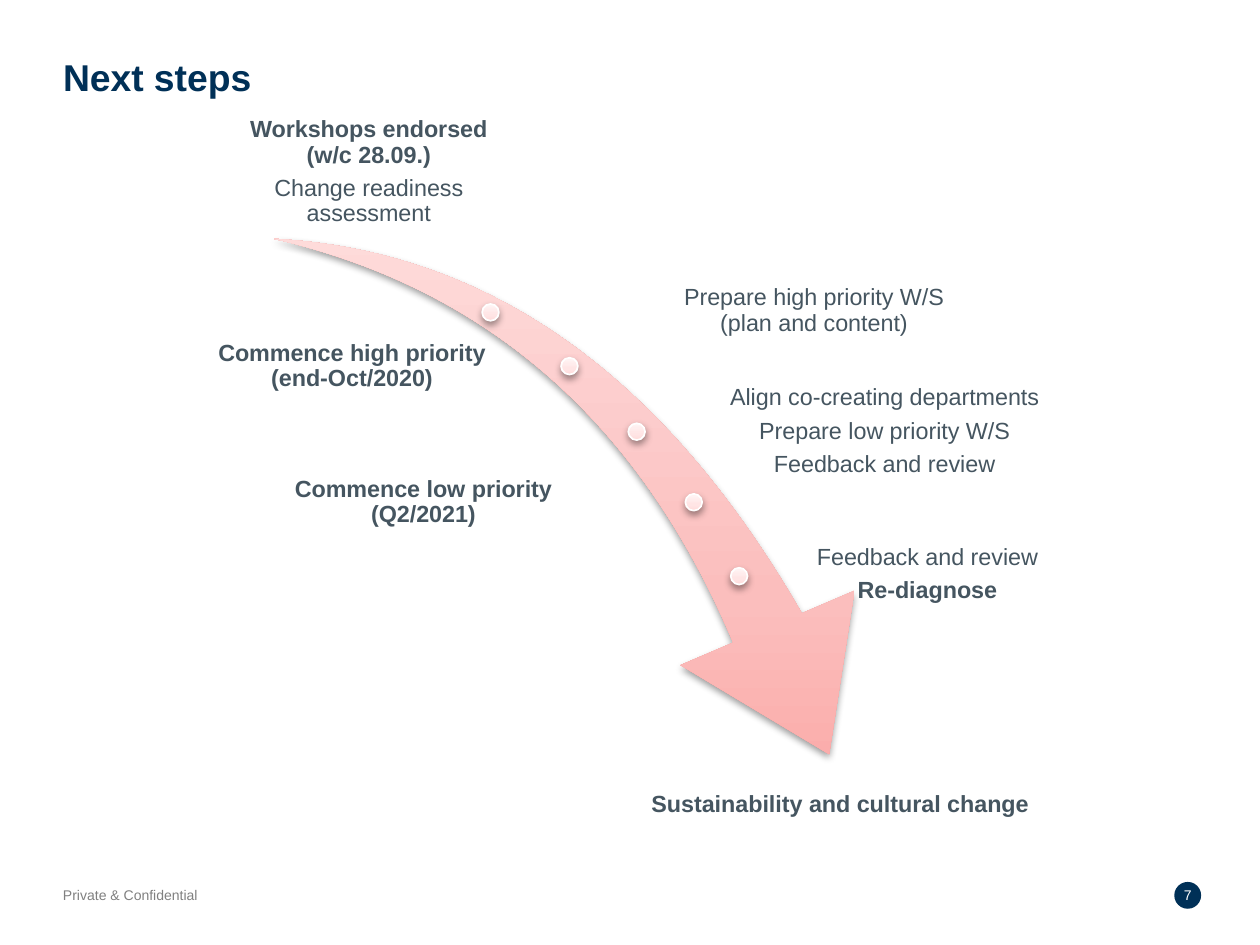
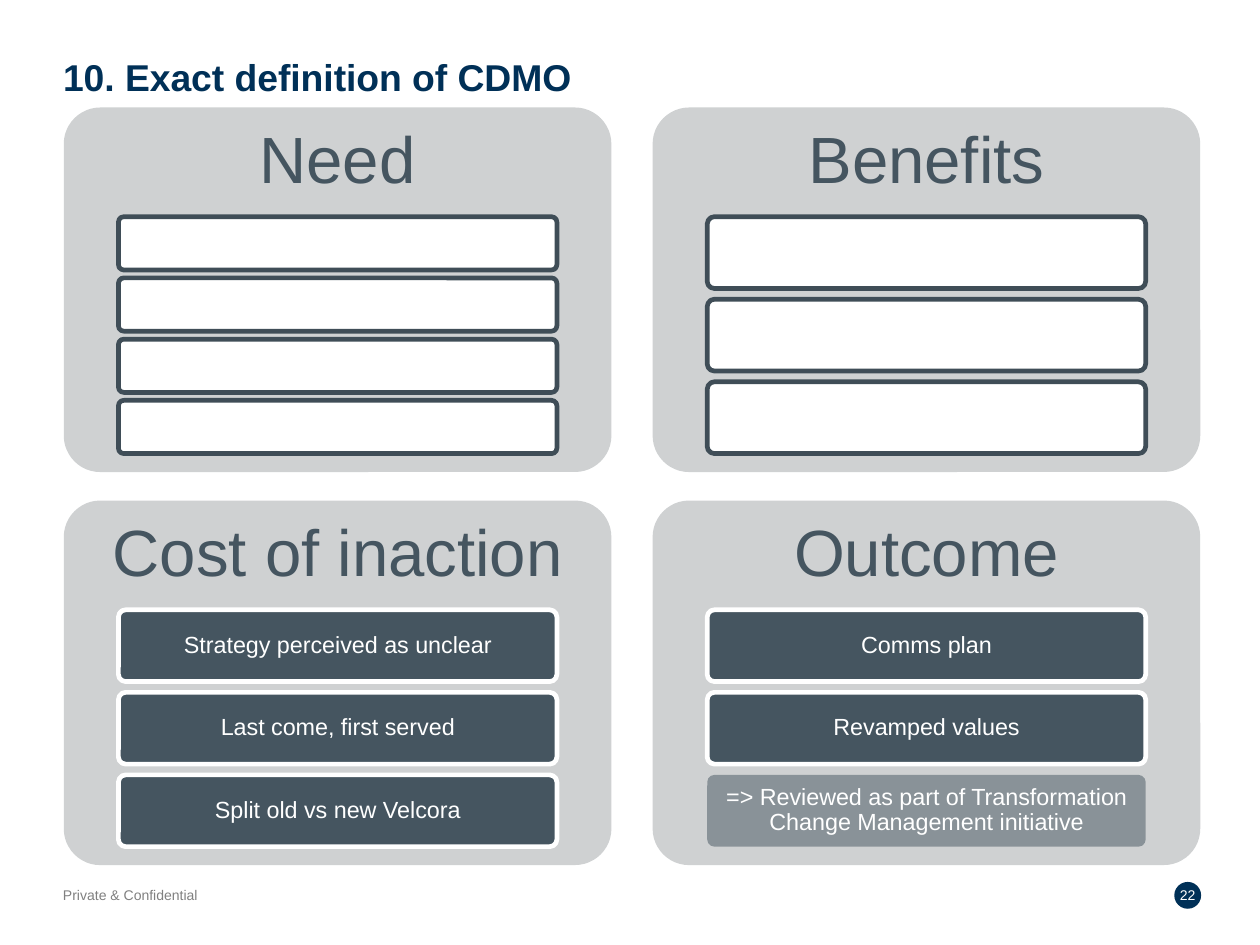
from copy import deepcopy

from pptx import Presentation
from pptx.dml.color import RGBColor
from pptx.enum.shapes import MSO_SHAPE
from pptx.enum.text import MSO_ANCHOR, MSO_AUTO_SIZE, PP_ALIGN
from pptx.oxml import parse_xml
from pptx.oxml.ns import nsdecls, qn
from pptx.util import Inches, Pt

CELL = Inches(0.1)
COLS, ROWS = 75, 56.25
LEFT, WIDTH = 3.75, 67.7
NAVY, SLATE, EDGE = "003057", "455560", "3F4D57"
PALE, GREY, WHITE = "CFD1D2", "808080", "FFFFFF"
ARROW = [(0, "FBA19F"), (35, "FBBEBD"), (100, "FFE5E5")]
PEARL = [(0, "FFDBDA"), (35, "FFE5E5"), (100, "FFF5F5")]
TOP, MID, LOW = MSO_ANCHOR.TOP, MSO_ANCHOR.MIDDLE, MSO_ANCHOR.BOTTOM
DOTS = [(28.7, 18.1), (33.4, 21.3), (37.4, 25.2), (40.8, 29.4), (43.5, 33.8)]
STEPS = [
    ((12.8, 6.4, 18.3, 7.2), LOW, [("Workshops endorsed\v(w/c 28.09.)", True),
                                   ("Change readiness assessment", False)]),
    ((34.6, 14.9, 27.7, 7.2), MID, [("Prepare high priority W/S\v(plan and content)", False)]),
    ((12.8, 18.2, 16.3, 7.2), MID, [("Commence high priority\v(end-Oct/2020)", True)]),
    ((43, 22.1, 19.3, 7.2), MID, [("Align co-creating departments", False),
                                  ("Prepare low priority W/S", False),
                                  ("Feedback and review", False)]),
    ((12.8, 26.3, 24.8, 7.2), MID, [("Commence low priority\v(Q2/2021)", True)]),
    ((48, 30.6, 14.4, 7.2), MID, [("Feedback and review", False), ("Re-diagnose", True)]),
    ((37.6, 44.3, 24.8, 7.2), MID, [("Sustainability and cultural change", True)]),
]
PANELS = [
    ("Need", [""] * 4),
    ("Benefits", [""] * 3),
    ("Cost of inaction", ["Strategy perceived as unclear", "Last come, first served",
                          "Split old vs new Velcora"]),
    ("Outcome", ["Comms plan", "Revamped values",
                 "=> Reviewed as part of Transformation Change Management initiative"]),
]


def tint(code):
    """Turn a hex string into a colour."""
    return RGBColor.from_string(code)


def grid(*cells):
    """Turn grid cells into lengths."""
    return [round(cell * CELL) for cell in cells]


def apply(item, form):
    """Set each format value on an object."""
    for name, value in form.items():
        setattr(item, name, value)


def write(frame, lines, size, hue, anchor=MID, align=PP_ALIGN.CENTER, inset=0.0, wrap=True, step=False):
    """Fill a text frame with (text, bold) lines."""
    pad = Inches(inset)
    apply(frame, dict(word_wrap=wrap, auto_size=MSO_AUTO_SIZE.NONE, vertical_anchor=anchor,
                      margin_left=pad, margin_right=pad, margin_top=pad, margin_bottom=pad))
    for i, (text, bold) in enumerate(lines):
        para = frame.add_paragraph() if i else frame.paragraphs[0]
        para.text = text
        apply(para, dict(alignment=align, line_spacing=0.9 if step else 1.0,
                         space_before=Pt(0), space_after=Pt(0.35 * size if step else 0)))
        for run in para.runs:
            apply(run.font, dict(name="Arial", size=Pt(size), bold=bold))
            run.font.color.rgb = tint(hue)
        for gap in para._p.findall(qn("a:br")):
            gap.insert(0, deepcopy(para.runs[0]._r.rPr))


def label(slide, box, lines, size, hue, **form):
    """Add a text box."""
    write(slide.shapes.add_textbox(*grid(*box)).text_frame, lines, size, hue, **form)


def block(slide, kind, box, fill=None, edge=None, width=2):
    """Add a preset shape with a flat fill and an optional edge."""
    shape = slide.shapes.add_shape(kind, *grid(*box))
    shape.shadow.inherit = False
    if fill:
        shape.fill.solid()
        shape.fill.fore_color.rgb = tint(fill)
    if edge:
        shape.line.color.rgb = tint(edge)
        shape.line.width = Pt(width)
    else:
        shape.line.fill.background()
    return shape


def card(slide, box, fill, edge=None):
    """Add a box with slightly rounded corners."""
    shape = block(slide, MSO_SHAPE.ROUNDED_RECTANGLE, box, fill, edge)
    shape.adjustments[0] = 0.1
    return shape


def glow(shape, stops):
    """Give a shape an upward gradient and a soft shadow."""
    marks = "".join(f'<a:gs pos="{at * 1000}"><a:srgbClr val="{hue}"/></a:gs>' for at, hue in stops)
    props = shape._element.spPr
    props.insert(2, parse_xml(
        f'<a:gradFill {nsdecls("a")} rotWithShape="0"><a:gsLst>{marks}</a:gsLst>'
        '<a:lin ang="16200000" scaled="0"/></a:gradFill>'))
    props.find(qn("a:effectLst")).append(parse_xml(
        f'<a:outerShdw {nsdecls("a")} blurRad="{Pt(3.1)}" dist="{Pt(1.6)}" dir="5400000" '
        'rotWithShape="0"><a:srgbClr val="000000"><a:alpha val="38000"/></a:srgbClr></a:outerShdw>'))


def fade(shape, share):
    """Set the opacity of a flat fill in percent."""
    hue = shape._element.spPr.find(qn("a:solidFill"))[0]
    hue.append(parse_xml(f'<a:alpha {nsdecls("a")} val="{share * 1000}"/>'))


def start(deck, title, page):
    """Add a slide with its title, footer and page badge."""
    slide = deck.slides.add_slide(deck.slide_layouts[5])
    head = slide.shapes.title
    apply(head, dict(zip(("left", "top", "width", "height"), grid(LEFT, 3.2, WIDTH, 2.7))))
    write(head.text_frame, [(title, True)], 16, NAVY, align=PP_ALIGN.LEFT)
    label(slide, (LEFT, 52.8, 15.7, 1), [("Private & Confidential", False)], 6, GREY,
          anchor=TOP, align=PP_ALIGN.LEFT)
    badge = block(slide, MSO_SHAPE.OVAL, (69.9, 52.5, 1.6, 1.6), NAVY)
    write(badge.text_frame, [(page, False)], 6, WHITE, wrap=False)
    return slide


def road(slide):
    """Draw the arrow with its dots and step labels."""
    sweep = block(slide, MSO_SHAPE.SWOOSH_ARROW, (15.4, 15.4, 38.9, 27.1))
    sweep.rotation = 73.3
    sweep.adjustments[0], sweep.adjustments[1] = 0.163, 0.314
    glow(sweep, ARROW)
    for x, y in DOTS:
        glow(block(slide, MSO_SHAPE.OVAL, (x, y, 1, 1), edge=WHITE, width=0.75), PEARL)
    for box, anchor, lines in STEPS:
        label(slide, box, lines, 10, SLATE, anchor=anchor, inset=0.01, step=True)


def panel(slide, x, y, name, bars):
    """Draw a titled panel with evenly stacked bars."""
    card(slide, (x, y, 32.6, 21.7), PALE)
    label(slide, (x, y, 32.6, 6.5), [(name, False)], 28, SLATE, inset=0.12, step=True)
    high = 14.1 / (len(bars) + 0.15 * (len(bars) - 1))
    for i, text in enumerate(bars):
        box = (x + 3.25, y + 6.5 + i * high * 1.15, 26.1, high)
        note = text.startswith("=>")
        edge = None if note else WHITE if text else EDGE
        bar = card(slide, box, SLATE if text else WHITE, edge)
        if note:
            fade(bar, 50)
        if text:
            write(bar.text_frame, [(text, False)], 10, WHITE, inset=0.03, step=True)


def main():
    """Build and save the deck."""
    deck = Presentation()
    deck.slide_width, deck.slide_height = grid(COLS, ROWS)
    road(start(deck, "Next steps", "7"))
    slide = start(deck, "10. Exact definition of CDMO", "22")
    for i, (name, bars) in enumerate(PANELS):
        row, col = divmod(i, 2)
        panel(slide, 3.8 + 35.05 * col, 6.4 + 23.4 * row, name, bars)
    deck.save("out.pptx")


if __name__ == "__main__":
    main()
